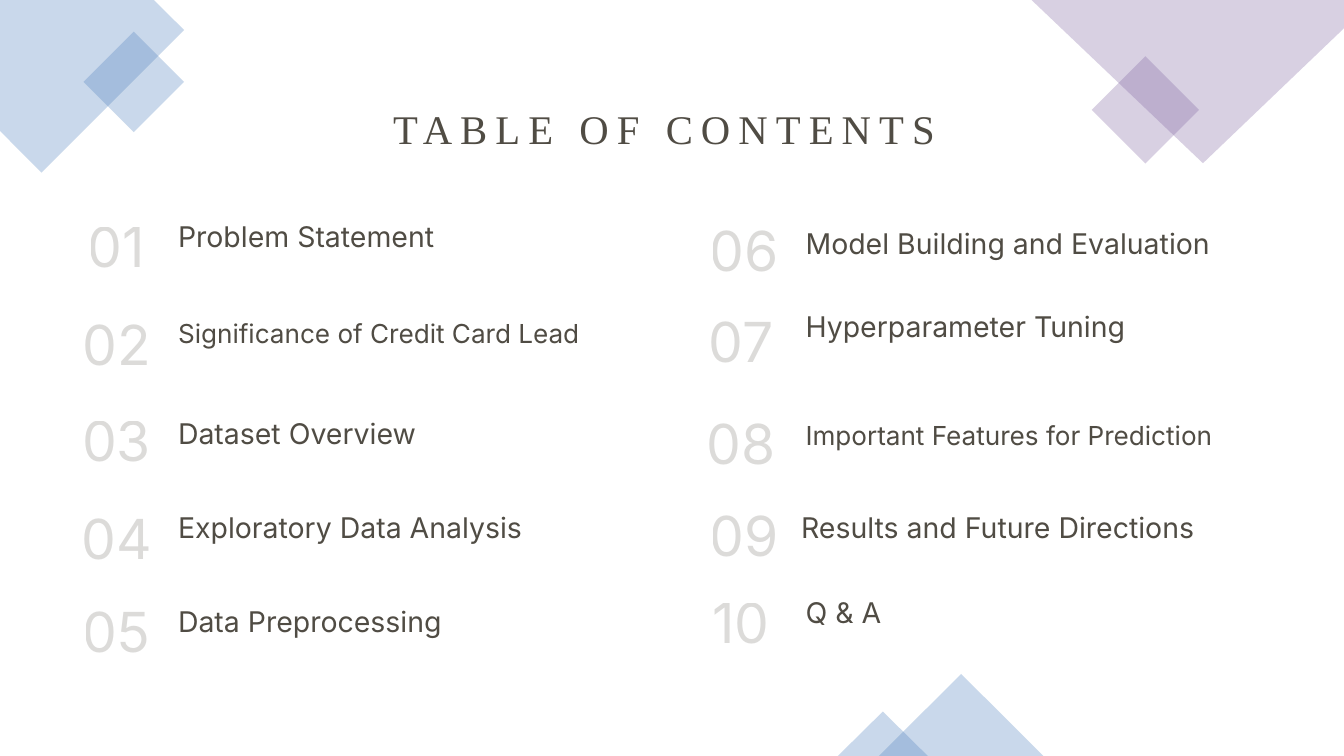
from lxml import etree
from pptx import Presentation
from pptx.dml.color import RGBColor
from pptx.enum.shapes import MSO_SHAPE
from pptx.enum.text import MSO_ANCHOR, MSO_AUTO_SIZE, PP_ALIGN
from pptx.oxml.ns import qn
from pptx.util import Cm, Pt

LEFT, CENTER = PP_ALIGN.LEFT, PP_ALIGN.CENTER
TOP = MSO_ANCHOR.TOP
GROW = MSO_AUTO_SIZE.SHAPE_TO_FIT_TEXT
SQUARE, TRIANGLE = MSO_SHAPE.RECTANGLE, MSO_SHAPE.ISOSCELES_TRIANGLE

THEME = {
    "blue": RGBColor(0x4F, 0x81, 0xBD),
    "purple": RGBColor(0x80, 0x64, 0xA2),
    "ink": RGBColor(0x50, 0x4C, 0x44),
    "heading": {"name": "Times New Roman", "size": Pt(43.6)},
    "number": {"name": "Inter", "size": Pt(59.1)},
    "topic": {"name": "Inter", "size": Pt(30.5)},
    "long_topic": {"name": "Inter", "size": Pt(28)},
}
FRAME = {
    "margin_left": 0, "margin_top": 0, "margin_right": 0, "margin_bottom": 0,
    "word_wrap": True, "vertical_anchor": TOP, "auto_size": GROW,
}


def paint(shape, colour):
    shape.shadow.inherit = False
    shape.fill.solid()
    shape.fill.fore_color.rgb = colour
    shape.line.fill.background()
    for tone in shape.element.iter(qn("a:srgbClr")):
        etree.SubElement(tone, qn("a:alpha"), val="30000")


def write(shape, text, style, align, leading):
    for key, value in FRAME.items():
        setattr(shape.text_frame, key, value)
    paragraph = shape.text_frame.paragraphs[0]
    layout = {"alignment": align, "line_spacing": Pt(leading),
              "space_before": Pt(0), "space_after": Pt(6)}
    for key, value in layout.items():
        setattr(paragraph, key, value)
    run = paragraph.add_run()
    run.text = text
    for key, value in THEME[style].items():
        setattr(run.font, key, value)
    run.font.color.rgb = THEME["ink"]
    return run


prs = Presentation()
prs.slide_width, prs.slide_height = Cm(50.8), Cm(28.58)
slide = prs.slides.add_slide(prs.slide_layouts[5])
shapes = slide.shapes

corners = [
    ("blue", [(5.82, 0), (0, 0), (0, 4.95), (1.57, 6.53), (6.96, 1.14)]),
    ("purple", [(50.8, 0), (38.99, 0), (45.47, 6.17), (50.8, 1.07)]),
]
for colour, points in corners:
    outline = [(Cm(x), Cm(y)) for x, y in points]
    builder = shapes.build_freeform(*outline[0])
    builder.add_line_segments(outline[1:], close=True)
    paint(builder.convert_to_shape(), THEME[colour])

accents = [
    (SQUARE, "blue", 315, 3.71, 1.75, 2.69, 2.69),
    (SQUARE, "purple", 315, 41.86, 2.72, 2.87, 2.87),
    (TRIANGLE, "blue", 0, 33.22, 25.48, 6.22, 3.1),
    (TRIANGLE, "blue", 0, 31.67, 26.9, 3.4, 1.68),
]
for kind, colour, turn, *box in accents:
    accent = shapes.add_shape(kind, *map(Cm, box))
    accent.rotation = turn
    paint(accent, THEME[colour])

heading = shapes.title
heading.left, heading.top, heading.width, heading.height = map(Cm, (11.1, 3.61, 28.02, 2.11))
heading_run = write(heading, "TABLE OF CONTENTS", "heading", CENTER, 61)
heading_run.font.element.set("spc", "870") if hasattr(heading_run.font, "element") else heading_run._r.get_or_add_rPr().set("spc", "870")

contents = [
    ("Problem Statement", "topic", 2.69, 7.62, 6.73, 8.48),
    ("Significance of Credit Card Lead", "long_topic", 2.69, 11.3, 6.73, 12.09),
    ("Dataset Overview", "topic", 2.69, 14.96, 6.73, 15.93),
    ("Exploratory Data Analysis", "topic", 2.69, 18.64, 6.73, 19.51),
    ("Data Preprocessing", "topic", 2.69, 22.17, 6.73, 23.04),
    ("Model Building and Evaluation", "topic", 26.42, 7.75, 30.45, 8.76),
    ("Hyperparameter Tuning", "topic", 26.29, 11.2, 30.45, 11.91),
    ("Important Features for Prediction", "long_topic", 26.29, 15.06, 30.45, 15.95),
    ("Results and Future Directions", "topic", 26.42, 18.52, 30.28, 19.51),
    ("Q & A", "topic", 26.29, 21.84, 30.45, 22.71),
]
for index, (topic, style, number_x, number_y, topic_x, topic_y) in enumerate(contents, 1):
    entry = shapes.add_textbox(Cm(topic_x), Cm(topic_y), Cm(17.65), Cm(1.09))
    write(entry, topic, style, LEFT, 30.5)
    number = shapes.add_textbox(Cm(number_x), Cm(number_y), Cm(3.43), Cm(2.82))
    write(number, f"{index:02d}", "number", CENTER, 82.8)
    for tone in number.element.iter(qn("a:srgbClr")):
        etree.SubElement(tone, qn("a:alpha"), val="20000")

prs.save("out.pptx")
